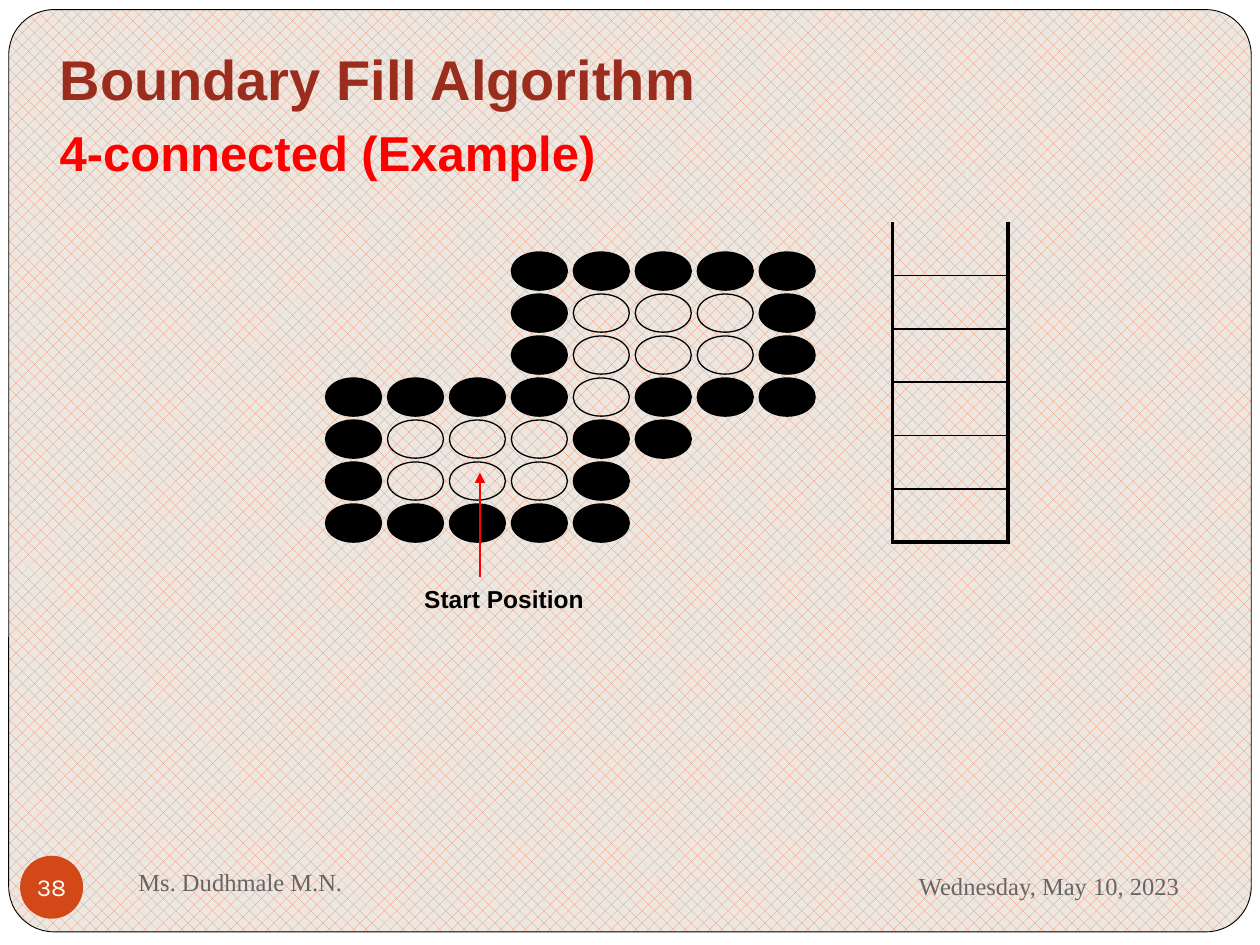
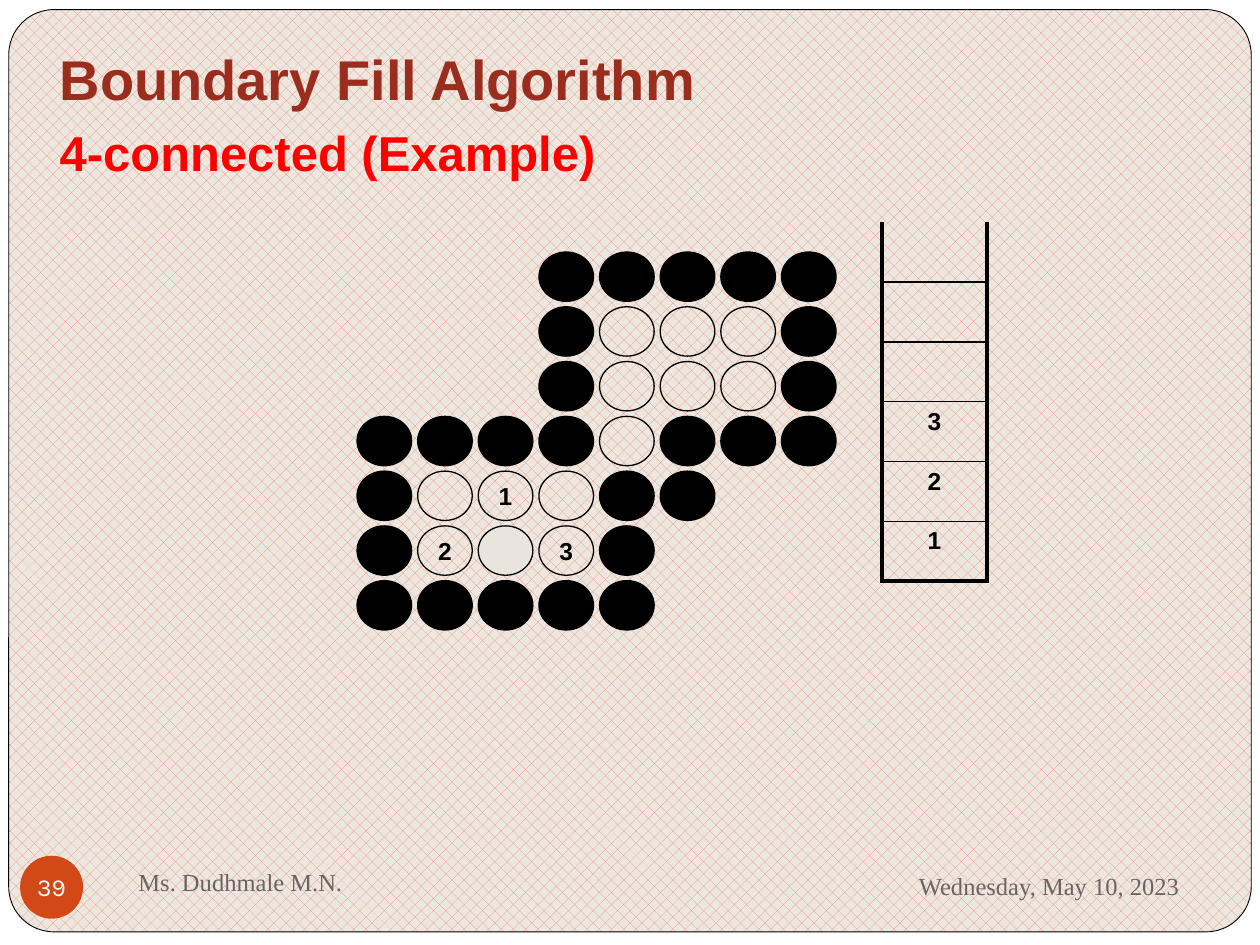
"""Build two slides that step through a 4-connected boundary fill."""
from lxml import etree
from pptx import Presentation
from pptx import util as u
from pptx.dml import color
from pptx.enum import dml, shapes, text
from pptx.oxml import ns

Pt = u.Pt
COLOURS = {
    "paper": "ECE8E1", "weave": "EF8C6A", "white": "FFFFFF", "black": "000000",
    "title": "9B2D1F", "red": "FF0000", "badge": "D34817", "footer": "696464",
    "seed": "E9E5DC",
}
SHAPE = shapes.MSO_SHAPE
ALIGN = text.PP_ALIGN
LABEL = {"size": 14, "font": "Arial", "colour": "black", "bold": True}
FOOTER = {"size": 14, "font": "Times New Roman", "colour": "footer"}


def rgb(name):
    """Return a named colour."""
    return color.RGBColor.from_string(COLOURS[name])


class Deck:
    """Hold the shared style and the current page."""

    def __init__(self):
        """Start an empty 10 by 7.5 inch deck."""
        self.deck = Presentation()
        self.deck.slide_width, self.deck.slide_height = Pt(720), Pt(540)
        self.page = None

    def start_page(self, number):
        """Add a page with its card, title, footers and number."""
        self.page = self.deck.slides.add_slide(self.deck.slide_layouts[6])
        backdrop = self.page.background.fill
        backdrop.solid()
        backdrop.fore_color.rgb = rgb("white")
        card = self.shape(SHAPE.ROUNDED_RECTANGLE, 5, 5.5, 710, 527, line=0.5)
        card.adjustments[0] = 0.049
        card.fill.patterned()
        card.fill.pattern = dml.MSO_PATTERN.PERCENT_30
        card.fill.fore_color.rgb = rgb("weave")
        card.fill.back_color.rgb = rgb("paper")
        title = self.text_box(27, 22, 666, 80, text.MSO_ANCHOR.TOP)
        self.span(title.paragraphs[0], "Boundary Fill Algorithm", 32, "Arial", "title", True)
        para = title.add_paragraph()
        para.space_before = Pt(6)
        self.span(para, "4-connected (Example)", 28, "Arial", "red", True)
        self.line_of_text("Ms. Dudhmale M.N.", 72, 486, 312, 36, ALIGN.LEFT, FOOTER)
        self.line_of_text("Wednesday, May 10, 2023", 486, 487.5, 195, 37.5, ALIGN.RIGHT, FOOTER)
        badge = self.shape(SHAPE.OVAL, 11.5, 489, 36, 36, "badge")
        self.centre(badge, str(number), {"size": 14, "font": "Karla", "colour": "white"})

    def shape(self, kind, left, top, width, height, fill=None, line=None):
        """Add a preset shape without a shadow."""
        shape = self.page.shapes.add_shape(kind, Pt(left), Pt(top), Pt(width), Pt(height))
        shape.shadow.inherit = False
        if fill:
            shape.fill.solid()
            shape.fill.fore_color.rgb = rgb(fill)
        else:
            shape.fill.background()
        if line:
            shape.line.width = Pt(line)
            shape.line.color.rgb = rgb("black")
        else:
            shape.line.fill.background()
        return shape

    def text_box(self, left, top, width, height, anchor):
        """Add a wrapping text box and return its frame."""
        box = self.page.shapes.add_textbox(Pt(left), Pt(top), Pt(width), Pt(height))
        frame = box.text_frame
        frame.word_wrap = True
        frame.vertical_anchor = anchor
        return frame

    def line_of_text(self, words, left, top, width, height, align, style):
        """Add one line of vertically centred text."""
        frame = self.text_box(left, top, width, height, text.MSO_ANCHOR.MIDDLE)
        frame.paragraphs[0].alignment = align
        self.span(frame.paragraphs[0], words, **style)

    def centre(self, shape, words, style):
        """Write centred text inside a shape."""
        frame = shape.text_frame
        frame.word_wrap = False
        frame.vertical_anchor = text.MSO_ANCHOR.MIDDLE
        frame.margin_left = frame.margin_right = frame.margin_top = frame.margin_bottom = 0
        frame.paragraphs[0].alignment = ALIGN.CENTER
        self.span(frame.paragraphs[0], words, **style)

    def span(self, para, words, size, font, colour, bold=False):
        """Append a styled run to a paragraph."""
        span = para.add_run()
        span.text = words
        span.font.size, span.font.name, span.font.bold = Pt(size), font, bold
        span.font.color.rgb = rgb(colour)

    def pixels(self, rows, left, top, pitch, size):
        """Draw a map: # boundary, o empty, s seed, digit numbered, . nothing."""
        fills = {"#": "black", "s": "seed"}
        for row, marks in enumerate(rows):
            for column, mark in enumerate(marks):
                if mark == ".":
                    continue
                pixel = self.shape(SHAPE.OVAL, left + column * pitch[0], top + row * pitch[1],
                                   *size, fills.get(mark), 0.75)
                if mark.isdigit():
                    self.centre(pixel, mark, LABEL)

    def stack(self, entries, left, top, width, row_height):
        """Draw the stack as an open-topped table."""
        count = len(entries)
        frame = self.page.shapes.add_table(count, 1, Pt(left), Pt(top), Pt(width),
                                           Pt(row_height * count))
        table = frame.table
        table.first_row = table.horz_banding = False
        for row, entry in enumerate(entries):
            table.rows[row].height = Pt(row_height)
            cell = table.cell(row, 0)
            self.border(cell, "L", 2.25)
            self.border(cell, "R", 2.25)
            self.border(cell, "T", 1 if row else 0)
            self.border(cell, "B", 2.25 if row == count - 1 else 1)
            cell.fill.background()
            if entry:
                para = cell.text_frame.paragraphs[0]
                para.alignment = ALIGN.CENTER
                self.span(para, entry, **LABEL)

    def border(self, cell, side, width):
        """Set one cell border; zero width hides it."""
        edge = etree.SubElement(cell._tc.get_or_add_tcPr(), ns.qn("a:ln" + side), w=str(Pt(width)))
        if width:
            fill = etree.SubElement(edge, ns.qn("a:solidFill"))
            etree.SubElement(fill, ns.qn("a:srgbClr"), val=COLOURS["black"])
        else:
            etree.SubElement(edge, ns.qn("a:noFill"))

    def arrow(self, start, end, colour):
        """Add a thin arrow that points at its end."""
        points = [Pt(value) for value in (*start, *end)]
        arrow = self.page.shapes.add_connector(shapes.MSO_CONNECTOR.STRAIGHT, *points)
        arrow.line.color.rgb = rgb(colour)
        arrow.line.width = Pt(0.75)
        etree.SubElement(arrow.line._get_or_add_ln(), ns.qn("a:tailEnd"), type="triangle")
        etree.SubElement(arrow._element.spPr, ns.qn("a:effectLst"))


def main():
    """Build both pages and save the deck."""
    upper = ["...#####", "...#ooo#", "...#ooo#", "####o###"]
    deck = Deck()

    deck.start_page(38)
    deck.stack([""] * 6, 510, 127, 66, 30.5)
    deck.pixels(upper + ["#ooo##", "#ooo#", "#####"], 186, 144, (35.4, 24), (32, 21.8))
    deck.arrow((274.3, 330), (274.3, 270), "red")
    deck.line_of_text("Start Position", 204, 330, 168, 24, ALIGN.CENTER, LABEL)

    deck.start_page(39)
    deck.stack(["", "", "", "3", "2", "1"], 504, 127, 60, 34.2)
    deck.pixels(upper + ["#o1o##", "#2s3#", "#####"], 204, 144, (34.65, 31.3), (31.2, 28.2))

    deck.deck.save("out.pptx")


if __name__ == "__main__":
    main()
